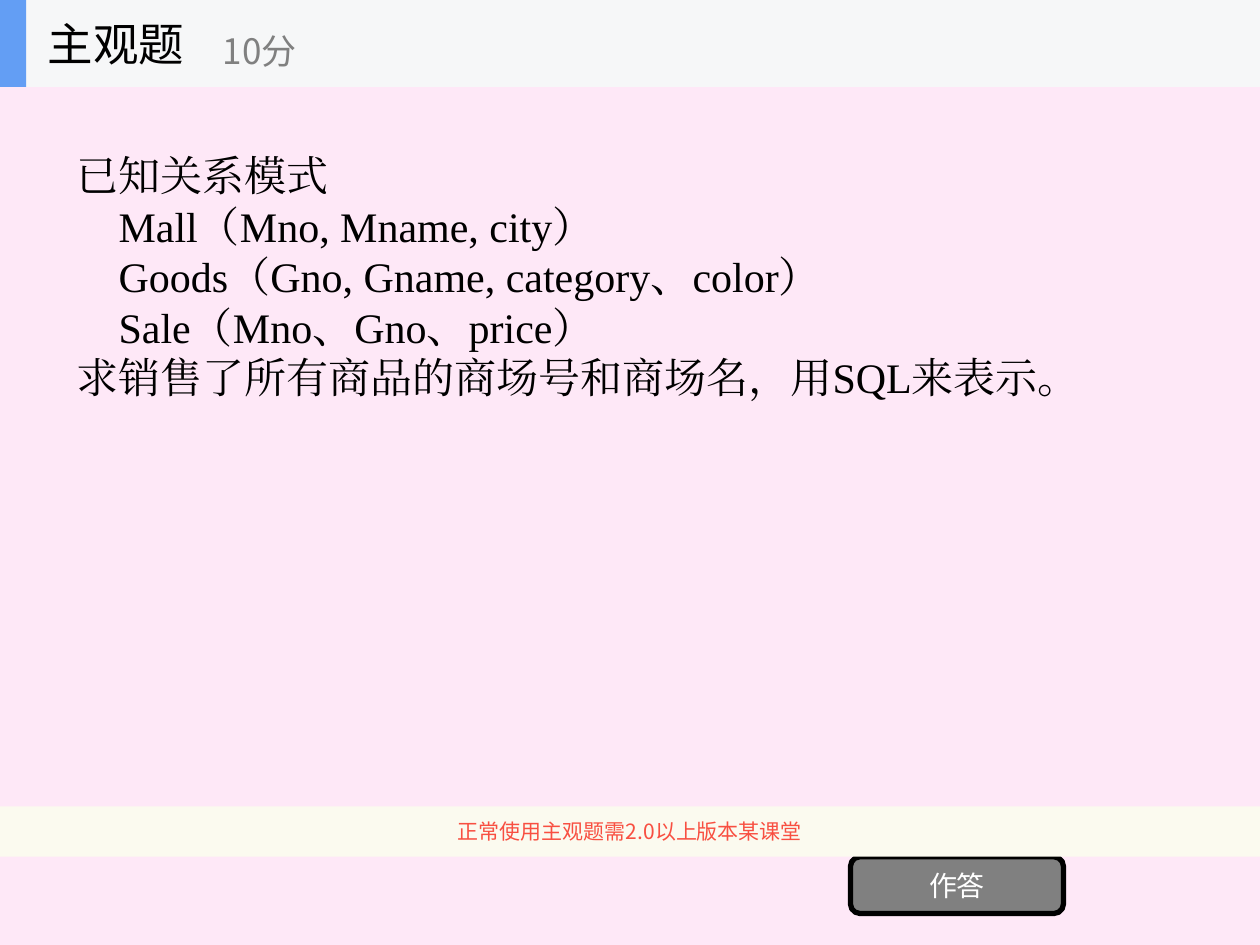
from pptx import Presentation
from pptx.dml.color import RGBColor
from pptx.enum.shapes import MSO_SHAPE
from pptx.enum.text import MSO_ANCHOR, PP_ALIGN
from pptx.oxml.ns import qn
from pptx.util import Pt

COLORS = {
    "page": "FEE8F7", "head": "F6F7F8", "accent": "639EF4",
    "banner": "FBFAEF", "alert": "F84F41", "gray": "808080",
    "black": "000000", "white": "FFFFFF",
}
SANS = "Noto Sans CJK SC"
SERIF = "Times New Roman"
WIDTH, HEIGHT = 720, 540
BAR = 49.7  # header height


def color(name):
    return RGBColor.from_string(COLORS[name])


class Painter:
    def __init__(self, slide):
        self.slide = slide
        self.shapes = slide.shapes

    def page(self, fill):
        back = self.slide.background.fill
        back.solid()
        back.fore_color.rgb = color(fill)

    def group(self):
        self.shapes = self.slide.shapes.add_group_shape().shapes

    def block(self, box, fill, kind=MSO_SHAPE.RECTANGLE, line=None):
        shape = self.shapes.add_shape(kind, *map(Pt, box))
        shape.shadow.inherit = False
        shape.fill.solid()
        shape.fill.fore_color.rgb = color(fill)
        if line:
            shape.line.color.rgb = color(line)
            shape.line.width = Pt(3)
        else:
            shape.line.fill.background()
        return shape

    def label(self, box, lines, size, tint, **style):
        shape = self.shapes.add_textbox(*map(Pt, box))
        self.letter(shape, lines, size, tint, **style)

    def letter(self, shape, lines, size, tint, font=SANS, align=PP_ALIGN.LEFT,
               anchor=MSO_ANCHOR.MIDDLE, pitch=None):
        """Set (text, indent) lines in a shape."""
        frame = shape.text_frame
        frame.word_wrap = True
        frame.vertical_anchor = anchor
        for i, (text, indent) in enumerate(lines):
            para = frame.add_paragraph() if i else frame.paragraphs[0]
            para.alignment = align
            if pitch:
                para.line_spacing = Pt(pitch)
            if indent:
                para._p.get_or_add_pPr().set("marL", str(Pt(indent)))
            run = para.add_run()
            run.text = text
            for key, value in {"size": Pt(size), "name": font}.items():
                setattr(run.font, key, value)
            run.font.color.rgb = color(tint)
            # East Asian typeface
            east = run._r.rPr.makeelement(qn("a:ea"), {"typeface": font})
            run._r.rPr.append(east)


def main():
    deck = Presentation()
    deck.slide_width, deck.slide_height = Pt(WIDTH), Pt(HEIGHT)
    pen = Painter(deck.slides.add_slide(deck.slide_layouts[6]))
    pen.page("page")

    # Answer button
    button = pen.block((486, 489.6, 121.7, 32.4), "gray",
                       MSO_SHAPE.ROUNDED_RECTANGLE, "black")
    pen.letter(button, [("作答", 0)], 16, "white", align=PP_ALIGN.CENTER)

    # Version banner
    banner = pen.block((0, 460.8, WIDTH, 28.8), "banner")
    pen.letter(banner, [("正常使用主观题需2.0以上版本某课堂", 0)], 12, "alert",
               align=PP_ALIGN.CENTER)

    # Question
    lines = [
        ("已知关系模式", 0),
        ("Mall（Mno, Mname, city）", 24),
        ("Goods（Gno, Gname, category、color）", 24),
        ("Sale（Mno、Gno、price）", 24),
        ("求销售了所有商品的商场号和商场名，用SQL来表示。", 0),
    ]
    pen.label((36.7, 82.1, 652.3, 151.2), lines, 24, "black", font=SERIF,
              anchor=MSO_ANCHOR.TOP, pitch=28.8)

    # Header
    pen.group()
    pen.block((0, 0, WIDTH, BAR), "head")
    pen.block((0, 0, 15, BAR), "accent")
    pen.label((20.2, 0, 149.8, BAR), [("主观题", 0)], 26, "black")
    pen.label((120.2, 8.6, 180, 40.3), [("10分", 0)], 20, "gray")

    deck.save("out.pptx")


if __name__ == "__main__":
    main()
